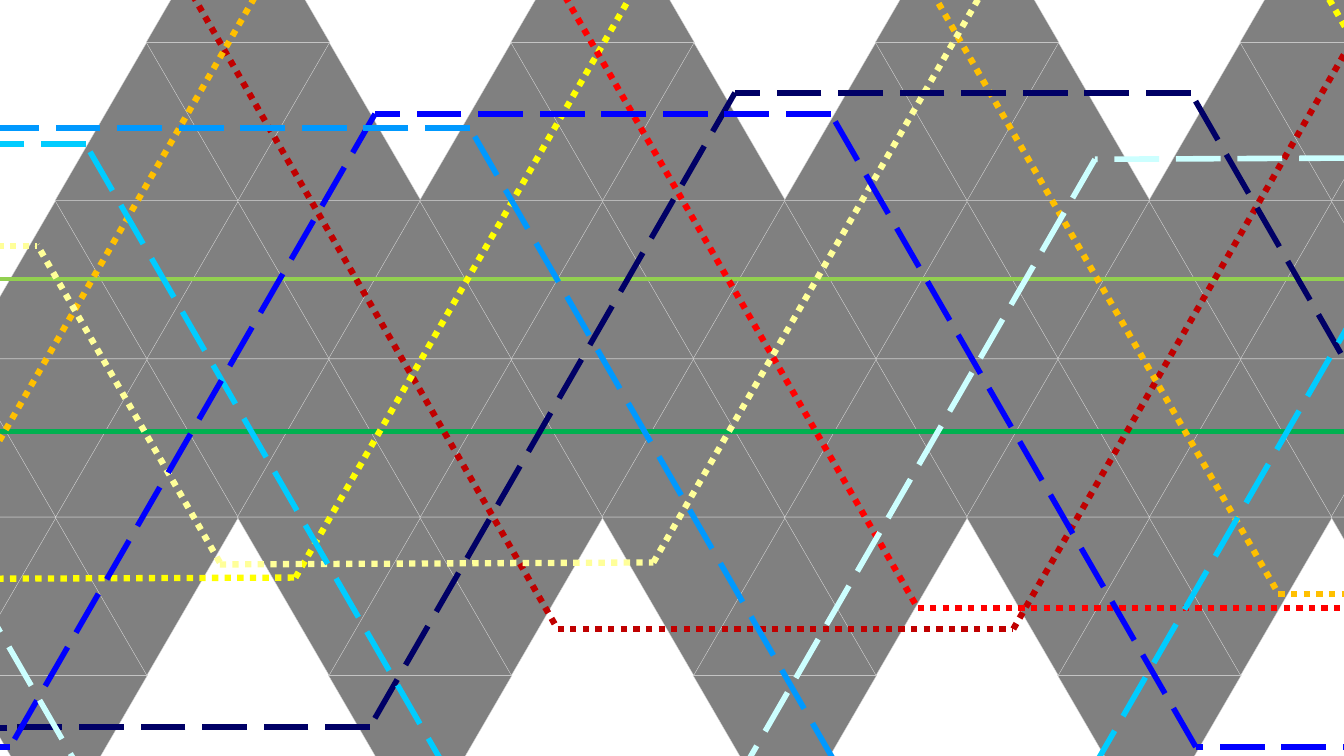
import pptx
import pptx.dml.color
import pptx.enum.dml
import pptx.enum.shapes
import pptx.oxml
import pptx.util

SHAPE = pptx.enum.shapes.MSO_SHAPE
DASH = pptx.enum.dml.MSO_LINE

# Slide and triangular grid, in inches
WIDTH, HEIGHT = 13.33, 7.5
GRID_LEFT, GRID_TOP = 1.45, -1.15
TRI_W, TRI_H = 1.82, 1.57
HALF_STEP = 0.904
STRIP_STEPS = 4  # half steps from one strip to the next

# One strip of the grid: half-step offsets of the triangles in each row
STRIP_ROWS = [
    {"up": [0], "down": []},
    {"up": [-1, 1], "down": [0]},
    {"up": [0, -2], "down": [-1, 1]},
    {"up": [-3, -1], "down": [0, -2]},
    {"up": [-2], "down": [-3, -1]},
    {"up": [], "down": [-2]},
]

# Routes: colour and the points of each path, in inches
SOLID_ROUTES = [
    ("92D050", [[(20.03, 2.77), (-2.53, 2.77)]]),
    ("00B050", [[(20.03, 4.28), (-2.53, 4.28)]]),
]
DOTTED_ROUTES = [
    ("C00000", [[(1.91, -0.05), (5.53, 6.24), (10.05, 6.24), (13.67, -0.05)]]),
    ("FFFF00", [[(12.87, -0.55), (16.49, 5.73)],
                [(-2.53, 5.75), (2.93, 5.73), (6.55, -0.55)]]),
    ("FF0000", [[(5.48, -0.25), (9.1, 6.03), (13.62, 6.03)]]),
    ("FFC000", [[(9.06, -0.4), (12.68, 5.89), (20.03, 5.89)],
                [(-0.88, 5.89), (2.74, -0.4)]]),
    ("FFFF99", [[(2.18, 5.6), (6.48, 5.58), (10.1, -0.7)],
                [(2.18, 5.58), (0.37, 2.43)],
                [(-2.53, 2.44), (0.37, 2.44)]]),
]
DASHED_ROUTES = [
    ("000066", [[(15.43, 7.21), (11.81, 0.92), (7.29, 0.92), (3.67, 7.21), (0.07, 7.21)],
                [(0.07, 7.22), (-2.69, 7.22)]]),
    ("00CCFF", [[(4.47, 7.71), (0.85, 1.43), (-2.69, 1.43)],
                [(14.41, 1.43), (10.79, 7.71)]]),
    ("0000FF", [[(19.87, 7.41), (11.86, 7.41), (8.24, 1.13), (3.72, 1.13),
                 (0.1, 7.41), (-2.69, 7.41)]]),
    ("0099FF", [[(8.28, 7.56), (4.66, 1.27), (-2.69, 1.27)]]),
    ("CCFFFF", [[(0.92, 7.86), (-1, 4.53)],
                [(15.16, 1.56), (10.86, 1.58), (7.24, 7.86)]]),
]


def length(inches):
    return pptx.util.Cm(inches * 2.54)


def rgb(hex_colour):
    return pptx.dml.color.RGBColor.from_string(hex_colour)


def style_line(line, colour, points):
    line.color.rgb = rgb(colour)
    line.width = pptx.util.Pt(points)


def add_filled(shapes, kind, box, fill, line_colour, line_width):
    sp = shapes.add_shape(kind, *[length(v) for v in box])
    sp.shadow.inherit = False
    sp.fill.solid()
    sp.fill.fore_color.rgb = rgb(fill)
    style_line(sp.line, line_colour, line_width)
    return sp


def add_grid(shapes):
    for strip in range(5):
        for row, directions in enumerate(STRIP_ROWS):
            for direction, offsets in directions.items():
                for offset in offsets:
                    left = GRID_LEFT + HALF_STEP * (STRIP_STEPS * strip + offset)
                    if left > WIDTH:
                        continue
                    box = (left, GRID_TOP + TRI_H * row, TRI_W, TRI_H)
                    sp = add_filled(shapes, SHAPE.ISOSCELES_TRIANGLE, box,
                                    "808080", "D9D9D9", 0.25)
                    if direction == "down":
                        sp.rotation = 180


def add_segment(shapes, start, end, colour, width, dash):
    ends = [length(v) for v in (*start, *end)]
    sp = shapes.add_connector(pptx.enum.shapes.MSO_CONNECTOR.STRAIGHT, *ends)
    style_line(sp.line, colour, width)
    if dash:
        sp.line.dash_style = dash
    # An empty effect list switches the theme shadow off
    sp._element.spPr.append(pptx.oxml.parse_xml(
        '<a:effectLst xmlns:a="http://schemas.openxmlformats.org/drawingml/2006/main"/>'))


def add_routes(shapes, routes, width, dash=None):
    for colour, paths in routes:
        for points in paths:
            for start, end in zip(points, points[1:]):
                add_segment(shapes, start, end, colour, width, dash)


def main():
    prs = pptx.Presentation()
    prs.slide_width, prs.slide_height = length(WIDTH), length(HEIGHT)
    s = prs.slides.add_slide(prs.slide_layouts[6])
    shapes = s.shapes.add_group_shape().shapes

    # Backdrop and grid
    add_filled(shapes, SHAPE.RECTANGLE, (-3.36, -1.53, 23.92, 10.03), "FFFFFF", "325491", 1)
    add_grid(shapes)

    # Routes across the grid
    add_routes(shapes, SOLID_ROUTES, 3)
    add_routes(shapes, DOTTED_ROUTES, 4.5, DASH.ROUND_DOT)
    add_routes(shapes, DASHED_ROUTES, 4, DASH.LONG_DASH)

    prs.save("out.pptx")


if __name__ == "__main__":
    main()
